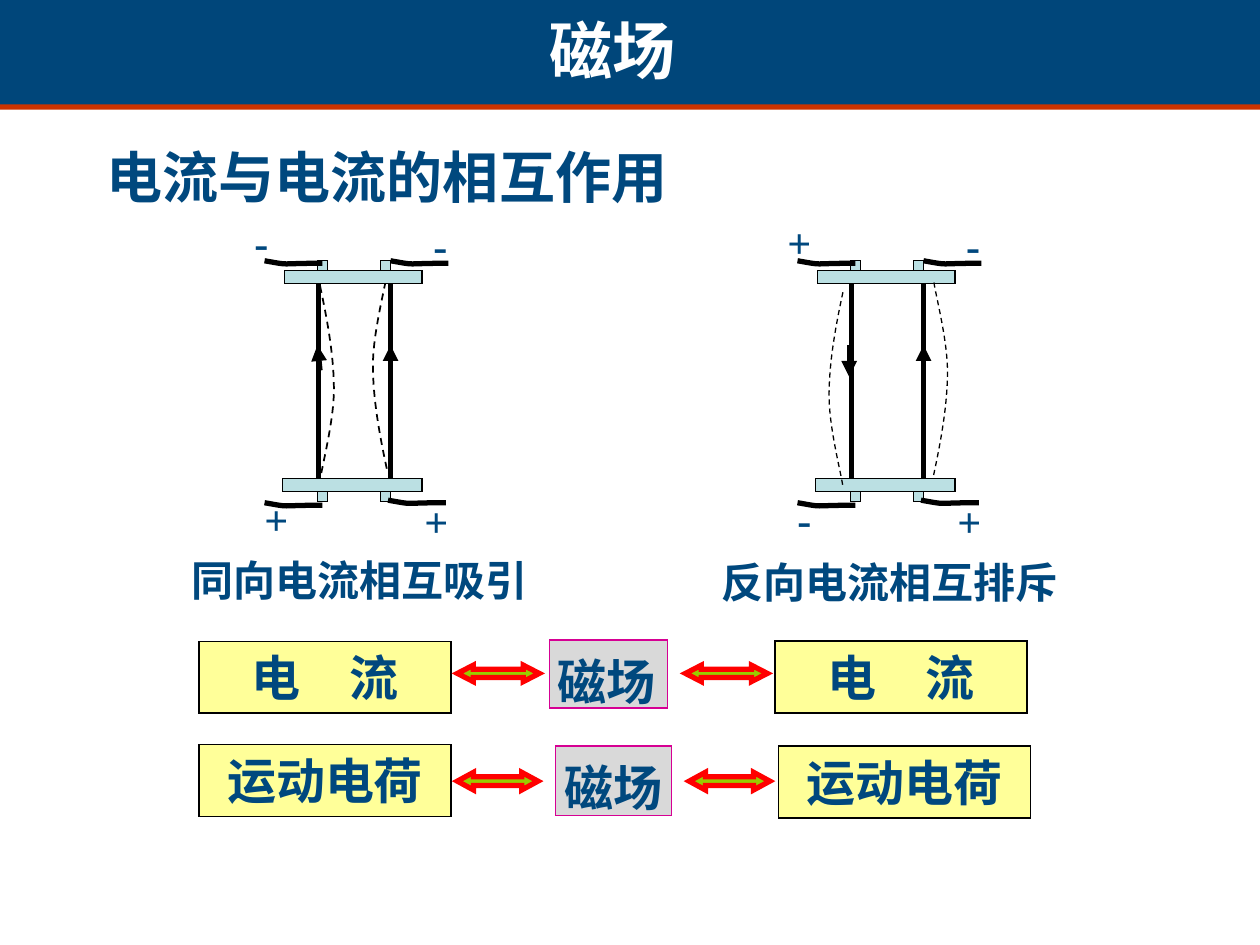
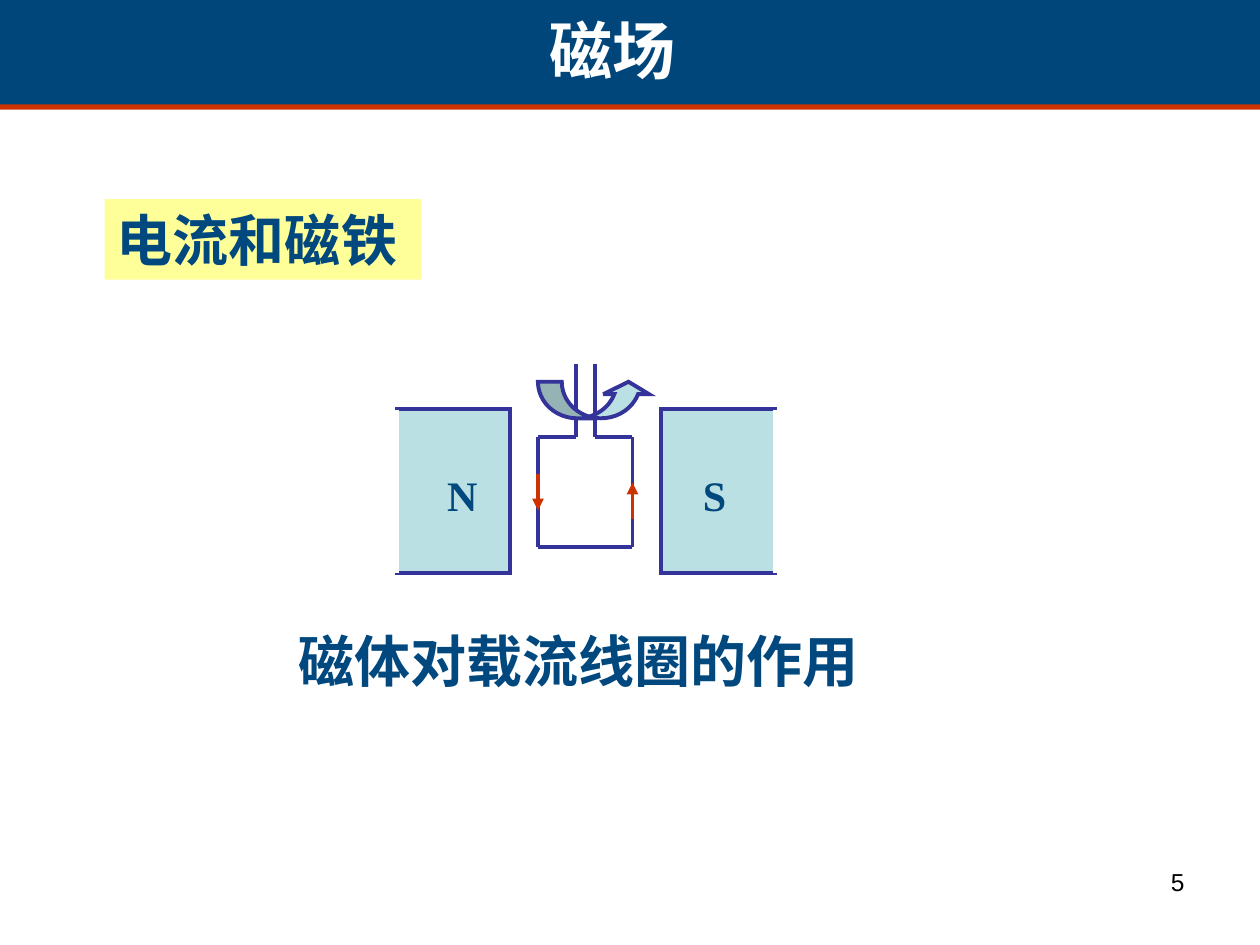
import dataclasses

import pptx
import pptx.dml.color
import pptx.enum.dml
import pptx.enum.shapes
import pptx.enum.text
import pptx.oxml.ns
import pptx.util
from lxml import etree

Inches = pptx.util.Inches
Pt = pptx.util.Pt
SHAPE = pptx.enum.shapes.MSO_SHAPE
ALIGN = pptx.enum.text.PP_ALIGN
DASH = pptx.enum.dml.MSO_LINE.DASH
qn = pptx.oxml.ns.qn


@dataclasses.dataclass(frozen=True)
class Theme:
    band: str = "00467A"
    accent: str = "CC3300"
    ink: str = "00487E"
    white: str = "FFFFFF"
    black: str = "000000"
    pale: str = "BBE0E3"
    yellow: str = "FFFF99"
    grey: str = "D9D9D9"
    pink: str = "D60093"
    red: str = "FF0000"
    green: str = "99CC00"
    coil: str = "333399"
    cjk: str = "Noto Sans CJK SC"
    serif: str = "Times New Roman"
    sans: str = "Arial"
    title: int = 36
    heading: int = 32
    term: int = 28
    label: int = 24
    number: int = 14


T = Theme()
BOW = [(0.06, 0.28), (0.11, 0.56), (0.11, 0.82), (0.11, 1.07), (0.02, 1.41), (0, 1.54)]
LEAD = [(0.23, 0.04), (0.08, 0.02), (0.46, 0.02)]


def rgb(value):
    return pptx.dml.color.RGBColor.from_string(value)


def set_line(line, color, width):
    if color is None:
        line.fill.background()
    else:
        line.color.rgb = rgb(color)
        line.width = Pt(width)
        etree.SubElement(line._get_or_add_ln(), qn("a:miter"), lim="800000")


def write(sp, text, size, color=T.ink, font=T.serif, bold=True, align=ALIGN.LEFT):
    tf = sp.text_frame
    frame = {
        "word_wrap": True,
        "auto_size": pptx.enum.text.MSO_AUTO_SIZE.NONE,
        "vertical_anchor": pptx.enum.text.MSO_ANCHOR.TOP,
        "margin_left": Inches(0.1),
        "margin_right": Inches(0.1),
        "margin_top": Inches(0.05),
        "margin_bottom": Inches(0.05),
    }
    for name, value in frame.items():
        setattr(tf, name, value)
    p = tf.paragraphs[0]
    p.alignment = align
    r = p.add_run()
    r.text = text
    for name, value in {"name": font, "size": Pt(size), "bold": bold}.items():
        setattr(r.font, name, value)
    r.font.color.rgb = rgb(color)
    etree.SubElement(r._r.get_or_add_rPr(), qn("a:ea"), typeface=T.cjk)


def add_text(s, x, y, w, h, text, size, **style):
    sp = s.shapes.add_textbox(*map(Inches, (x, y, w, h)))
    write(sp, text, size, **style)


def add_box(s, x, y, w, h, fill, line=None, width=0.75, kind=SHAPE.RECTANGLE, adjust=()):
    sp = s.shapes.add_shape(kind, *map(Inches, (x, y, w, h)))
    sp.shadow.inherit = False
    sp.fill.solid()
    sp.fill.fore_color.rgb = rgb(fill)
    set_line(sp.line, line, width)
    for i, value in enumerate(adjust):
        sp.adjustments[i] = value
    return sp


def add_line(s, x1, y1, x2, y2, color, width, arrow=False):
    kind = pptx.enum.shapes.MSO_CONNECTOR.STRAIGHT
    c = s.shapes.add_connector(kind, *map(Inches, (x1, y1, x2, y2)))
    set_line(c.line, color, width)
    if arrow:
        etree.SubElement(c.line._get_or_add_ln(), qn("a:tailEnd"), type="triangle")
    etree.SubElement(c._element.spPr, qn("a:effectLst"))


def add_curve(s, x, y, controls, width, sx=1, sy=1, dash=None):
    fb = s.shapes.build_freeform(Inches(x), Inches(y))
    points = [(Inches(x + sx * px), Inches(y + sy * py)) for px, py in controls]
    fb.add_line_segments(points, close=False)
    sp = fb.convert_to_shape()
    outline = sp._element.find(".//" + qn("a:path"))
    segments = outline.findall(qn("a:lnTo"))
    for i in range(0, len(segments), 3):
        curve = etree.SubElement(outline, qn("a:cubicBezTo"))
        for segment in segments[i:i + 3]:
            curve.append(segment[0])
            outline.remove(segment)
    sp.shadow.inherit = False
    sp.fill.background()
    set_line(sp.line, T.black, width)
    if dash:
        sp.line.dash_style = dash


def add_slide(prs, title):
    s = prs.slides.add_slide(prs.slide_layouts[5])
    add_box(s, 0, 0.79, 10, 0.08, T.accent)
    add_box(s, 0, 0, 10, 0.83, T.band)
    sp = s.shapes.title
    s.shapes._spTree.append(sp._element)
    place = {"left": 2.58, "top": 0.04, "width": 4.57, "height": 0.7}
    for name, value in place.items():
        setattr(sp, name, Inches(value))
    write(sp, title, T.title, color=T.white, font=T.cjk, align=ALIGN.CENTER)
    return s


def bow_pair(s, x, y, bows, width):
    for bx, by, sx, sy in bows:
        add_curve(s, x + bx, y + by, BOW, width, sx, sy, DASH)


def wire_pair(s, x, y, signs, arrows, bows_behind=(), bows_in_front=()):
    bow_pair(s, x, y, bows_behind, 1)
    for wx, wy in ((0.63, 0.58), (1.2, 0.59)):
        add_line(s, x + wx, y + wy, x + wx, y + wy + 1.58, T.black, 3)
    for px, py, pw in ((0.36, 0.5, 1.09), (0.34, 2.15, 1.11)):
        add_box(s, x + px, y + py, pw, 0.1, T.pale, T.black)
    bow_pair(s, x, y, bows_in_front, 0.75)
    for x1, y1, x2, y2 in arrows:
        add_line(s, x + x1, y + y1, x + x2, y + y2, T.black, 3, arrow=True)
    for cx in (0.62, 1.12):
        for cy in (0.42, 2.25):
            add_box(s, x + cx, y + cy, 0.08, 0.08, T.pale, T.black)
    for lx, ly in ((0.2, 0.42), (1.2, 0.42), (0.2, 2.34), (1.18, 2.32)):
        add_curve(s, x + lx, y + ly, LEAD, 3)
    corners = ((0.02, 0.02), (1.44, 0.04), (0.1, 2.22), (1.37, 2.23))
    for sign, (tx, ty) in zip(signs, corners):
        add_text(s, x + tx, y + ty, 0.39 if sign == "+" else 0.31, 0.5, sign, T.label)


def relation_row(s, x, y, term, field, arrow, right_arrow, right, head):
    fx, fy, fw, fh = field
    ay, aw, ah = arrow
    for (bx, by), width in (((0, 0), 0.75), (right, 1)):
        sp = add_box(s, x + bx, y + by, 2, 0.57, T.yellow, T.black, width)
        write(sp, term, T.term, align=ALIGN.CENTER)
    add_box(s, x + fx, y + fy, fw, fh, T.grey, T.pink)
    add_text(s, x + fx - 0.03, y + fy + 0.04, 1.35, 0.57, "磁场", T.term)
    for ax in (2.05, right_arrow):
        add_box(s, x + ax, y + ay, aw, ah, T.green, T.red, 3,
                SHAPE.LEFT_RIGHT_ARROW, (0.5, head))


def magnet(s, x, y, pole, pole_x, outer_x):
    add_box(s, x, y, 0.9, 1.3, T.pale, T.coil, 2.25)
    add_line(s, x + outer_x, y, x + outer_x, y + 1.3, T.white, 2.25)
    add_text(s, x + pole_x, y + 0.43, 0.45, 0.5, pole, T.label)


def coil(s, x, y):
    outline = [(0.3, 0), (0.3, 0.58), (0, 0.58), (0, 1.45),
               (0.75, 1.45), (0.75, 0.58), (0.45, 0.58), (0.45, 0)]
    for (x1, y1), (x2, y2) in zip(outline, outline[1:]):
        add_line(s, x + x1, y + y1, x + x2, y + y2, T.coil, 2.25)
    add_box(s, x, y + 0.14, 0.9, 0.29, T.pale, T.coil, 2.25,
            SHAPE.CURVED_UP_ARROW, (0.65, 1.25, 0.34))
    for ax, y1, y2 in ((0, 0.87, 1.16), (0.75, 1.23, 0.94)):
        add_line(s, x + ax, y + y1, x + ax, y + y2, T.accent, 2.25, arrow=True)


def currents_slide(prs):
    s = add_slide(prs, "磁场")
    add_text(s, 0.75, 1.08, 4.83, 0.64, "电流与电流的相互作用", T.heading, font=T.cjk)
    up = (1.2, 1.42, 1.2, 1.09)
    wire_pair(s, 1.9, 1.65, "--++", [up, (0.64, 1.29, 0.62, 1.09)],
              bows_behind=[(0.64, 0.62, 1, 1), (1.17, 2.07, -1, -1)])
    wire_pair(s, 6.13, 1.65, "+--+", [up, (0.61, 1.09, 0.61, 1.34)],
              bows_in_front=[(0.56, 0.67, -1, 1), (1.28, 2.12, 1, -1)])
    add_text(s, 1.42, 4.35, 2.9, 0.5, "同向电流相互吸引", T.label)
    add_text(s, 5.63, 4.37, 2.9, 0.5, "反向电流相互排斥", T.label)
    relation_row(s, 1.58, 5.09, "电　流", (2.78, -0.01, 0.94, 0.54),
                 (0.19, 0.65, 0.13), 3.86, (4.57, 0), 0.97)
    relation_row(s, 1.58, 5.91, "运动电荷", (2.83, 0.01, 0.92, 0.55),
                 (0.22, 0.64, 0.14), 3.89, (4.6, 0.01), 0.92)


def magnet_slide(prs):
    s = add_slide(prs, "磁场")
    sp = add_box(s, 0.83, 1.58, 2.51, 0.64, T.yellow)
    write(sp, "电流和磁铁", T.heading)
    magnet(s, 5.25, 3.25, "S", 0.23, 0.9)
    magnet(s, 3.15, 3.25, "N", 0.3, 0)
    coil(s, 4.27, 2.89)
    add_text(s, 2.27, 4.92, 4.75, 0.64, "磁体对载流线圈的作用", T.heading)
    add_text(s, 7.17, 6.83, 2.33, 0.52, "5", T.number, color=T.black,
             font=T.sans, bold=False, align=ALIGN.RIGHT)


def main():
    prs = pptx.Presentation()
    prs.slide_width, prs.slide_height = Inches(10), Inches(7.5)
    currents_slide(prs)
    magnet_slide(prs)
    prs.save("out.pptx")


if __name__ == "__main__":
    main()
